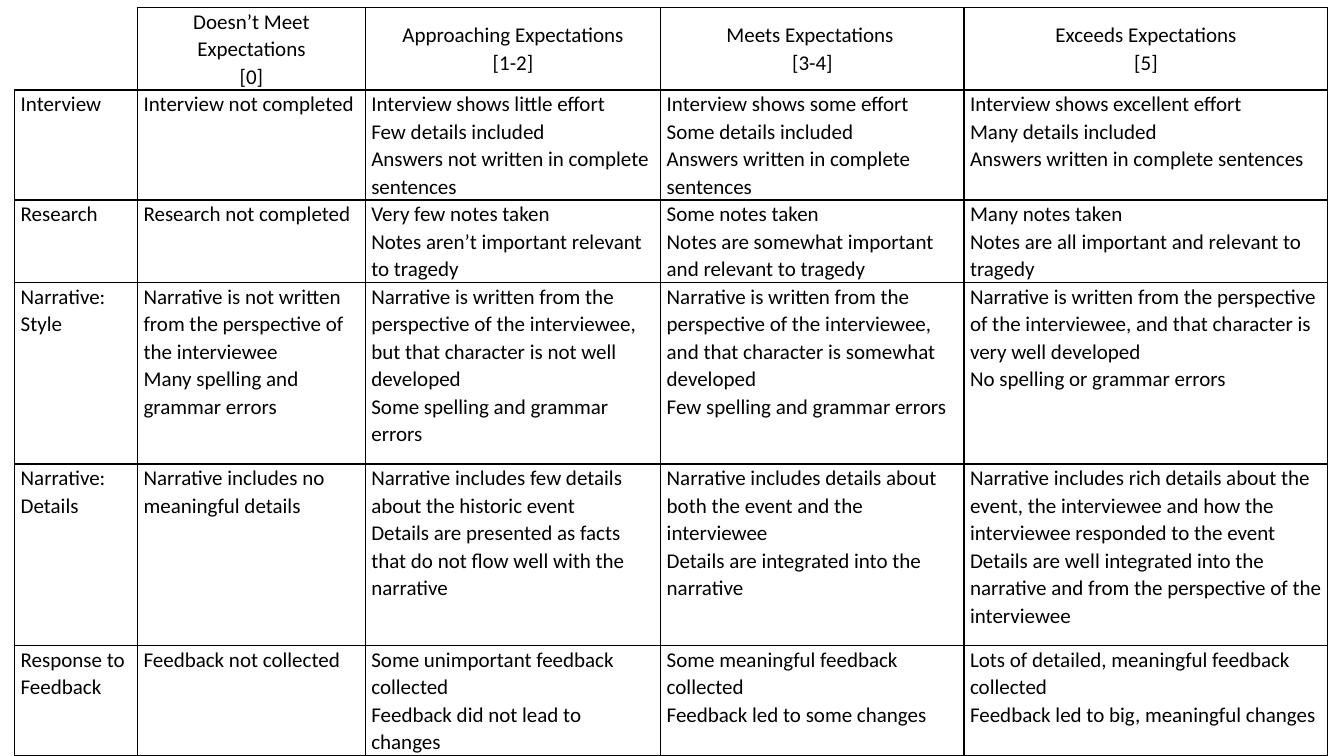
import pptx
import pptx.dml.color
import pptx.enum.text
import pptx.oxml
import pptx.oxml.ns
import pptx.util

Pt = pptx.util.Pt
INK = "000000"
WIDTHS = [87.8, 162.7, 211, 216.7, 259.9]
HEIGHTS = [55.4, 74.2, 55.4, 129.6, 129.6, 74.2]

# One list per row; each cell is a list of paragraphs
RUBRIC = [
    [[],
     ["Doesn’t Meet Expectations\n[0]"],
     ["Approaching Expectations\n[1-2]"],
     ["Meets Expectations \n[3-4]"],
     ["Exceeds Expectations\n[5]"]],
    [["Interview"],
     ["Interview not completed"],
     ["Interview shows little effort", "Few details included",
      "Answers not written in complete sentences"],
     ["Interview shows some effort", "Some details included",
      "Answers written in complete sentences"],
     ["Interview shows excellent effort", "Many details included",
      "Answers written in complete sentences"]],
    [["Research"],
     ["Research not completed"],
     ["Very few notes taken",
      "Notes aren’t important relevant to tragedy"],
     ["Some notes taken",
      "Notes are somewhat important and relevant to tragedy"],
     ["Many notes taken",
      "Notes are all important and relevant to tragedy"]],
    [["Narrative: Style"],
     ["Narrative is not written from the perspective of the interviewee",
      "Many spelling and grammar errors"],
     ["Narrative is written from the perspective of the interviewee, "
      "but that character is not well developed",
      "Some spelling and grammar errors"],
     ["Narrative is written from the perspective of the interviewee, "
      "and that character is somewhat developed",
      "Few spelling and grammar errors"],
     ["Narrative is written from the perspective of the interviewee, "
      "and that character is very well developed",
      "No spelling or grammar errors"]],
    [["Narrative: Details"],
     ["Narrative includes no meaningful details"],
     ["Narrative includes few details about the historic event",
      "Details are presented as facts that do not flow well with "
      "the narrative"],
     ["Narrative includes details about both the event and the interviewee",
      "Details are integrated into the narrative"],
     ["Narrative includes rich details about the event, the interviewee "
      "and how the interviewee responded to the event",
      "Details are well integrated into the narrative and from the "
      "perspective of the interviewee"]],
    [["Response to Feedback"],
     ["Feedback not collected"],
     ["Some unimportant feedback collected",
      "Feedback did not lead to changes"],
     ["Some meaningful feedback collected",
      "Feedback led to some changes"],
     ["Lots of detailed, meaningful feedback collected",
      "Feedback led to big, meaningful changes"]],
]


def color(code):
    return pptx.dml.color.RGBColor.from_string(code)


def border(cell, sides):
    """Draw 1 pt lines on the named sides, ahead of the cell's fill."""
    props = cell._tc.get_or_add_tcPr()
    for spot, side in enumerate(sides):
        line = pptx.oxml.parse_xml(
            f'<a:ln{side} {pptx.oxml.ns.nsdecls("a")} w="{Pt(1)}">'
            f'<a:solidFill><a:srgbClr val="{INK}"/></a:solidFill></a:ln{side}>')
        props.insert(spot, line)


def write(cell, lines, head):
    """Put the paragraphs in a cell; head cells are centred."""
    cell.margin_left = cell.margin_right = Pt(4.3)
    cell.margin_top = cell.margin_bottom = 0
    if head:
        cell.vertical_anchor = pptx.enum.text.MSO_ANCHOR.MIDDLE
    frame = cell.text_frame
    for spot, line in enumerate(lines):
        para = frame.add_paragraph() if spot else frame.paragraphs[0]
        para.text = line
        para.line_spacing = 1.07
        if head:
            para.alignment = pptx.enum.text.PP_ALIGN.CENTER
        para.font.name = "Calibri"
        para.font.size = Pt(15)
        para.font.color.rgb = color(INK)


def grid(slide, left, top):
    """Add the rubric table."""
    table = slide.shapes.add_table(
        len(HEIGHTS), len(WIDTHS), Pt(left), Pt(top),
        Pt(sum(WIDTHS)), Pt(sum(HEIGHTS))).table
    table.first_row = table.horz_banding = False
    for col, width in zip(table.columns, WIDTHS):
        col.width = Pt(width)
    for row, height in zip(table.rows, HEIGHTS):
        row.height = Pt(height)
    for r, row in enumerate(RUBRIC):
        for c, lines in enumerate(row):
            cell = table.cell(r, c)
            cell.fill.background()
            # The empty corner is open at the left and top
            border(cell, "LRTB" if lines else "RB")
            write(cell, lines, r == 0)


def main():
    deck = pptx.Presentation()
    deck.slide_width, deck.slide_height = Pt(960), Pt(540)
    slide = deck.slides.add_slide(deck.slide_layouts[6])
    grid(slide, 10.5, 5.3)
    deck.save("out.pptx")


if __name__ == "__main__":
    main()
